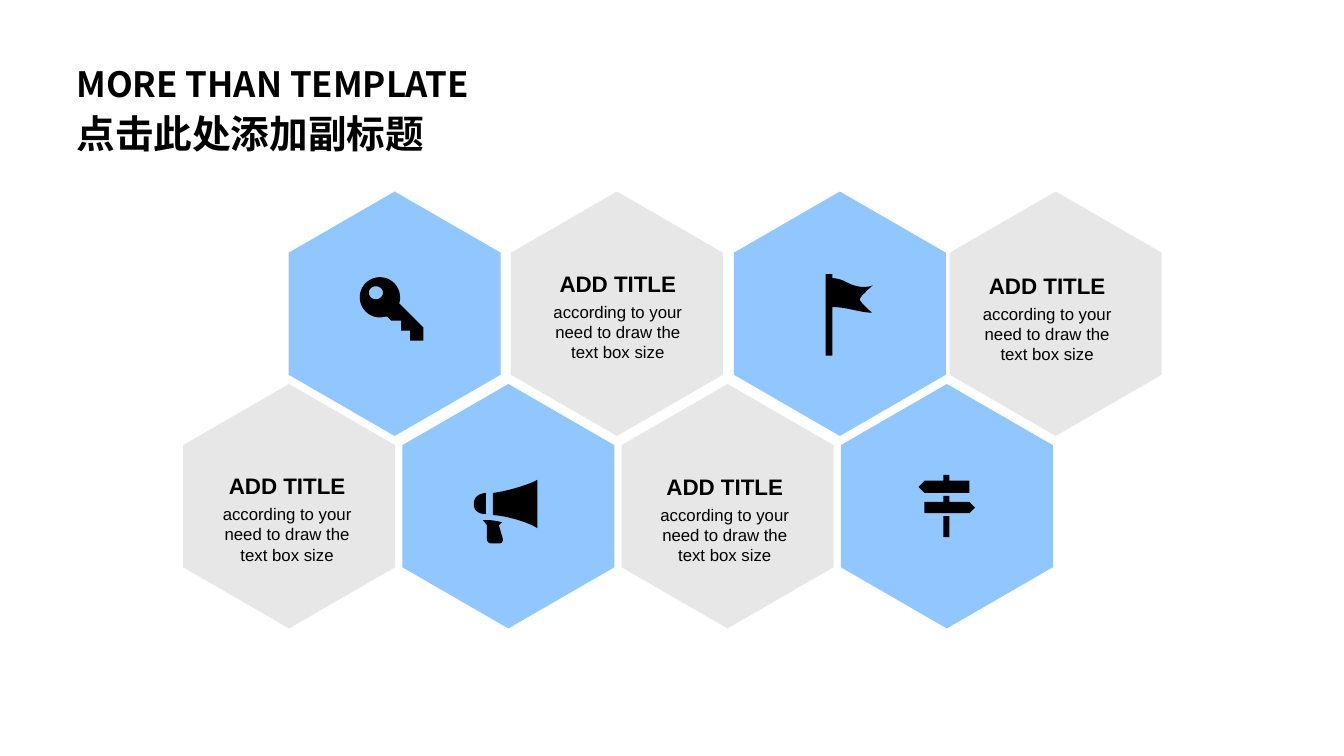
from dataclasses import dataclass

from lxml import etree
from pptx import Presentation
from pptx.dml.color import RGBColor
from pptx.enum.shapes import MSO_SHAPE
from pptx.enum.text import MSO_ANCHOR, MSO_AUTO_SIZE, PP_ALIGN
from pptx.oxml.ns import qn
from pptx.util import Pt

RECT = MSO_SHAPE.RECTANGLE
TOP, MIDDLE = MSO_ANCHOR.TOP, MSO_ANCHOR.MIDDLE
LEFT, CENTER = PP_ALIGN.LEFT, PP_ALIGN.CENTER
GROW = MSO_AUTO_SIZE.SHAPE_TO_FIT_TEXT

BLUE, GREY, BLACK = "90C7FF", "E7E7E7", "000000"
SANS, HAN = "Arial", "Noto Sans CJK SC"
WIDE, HIGH, EDGE = 151.4, 174.6, 43.7
STEPS = 12


@dataclass
class Tile:
    left: float
    top: float
    color: str


@dataclass
class Bar:
    left: float
    top: float
    width: float
    height: float


@dataclass
class Loop:
    start: tuple
    legs: list


@dataclass
class Label:
    left: float
    top: float


@dataclass
class Line:
    text: str
    size: float
    bold: bool


UPPER = [Tile(left, 136.8, color) for left, color in
         zip((206.2, 365, 524.2, 678.4), (BLUE, GREY, BLUE, GREY))]
LOWER = [Tile(130.8 + 156.6 * i, 274.3, (GREY, BLUE)[i % 2]) for i in range(4)]

BARS = [Bar(673.9, 368.6, 4.3, 15.1), Bar(589.7, 195.8, 5, 58.3)]

KEY = [
    Loop((285.1, 216.7), [
        (285.8, 215.3, 285.8, 213.8, 285.8, 212.4),
        (285.8, 204.5, 279.4, 198, 271.4, 198),
        (263.5, 198, 257, 204.5, 257, 212.4),
        (257, 220.3, 263.5, 226.8, 271.4, 226.8),
        (272.9, 226.8, 275, 226.1, 276.5, 226.1),
        (279.4, 229), (286.6, 229), (286.6, 236.2), (293, 236.2),
        (293, 243.4), (302.4, 243.4), (302.4, 234)]),
    Loop((268.6, 213.8), [
        (265.7, 213.8, 263.5, 211.7, 263.5, 209),
        (263.5, 206.6, 265.7, 204.5, 268.6, 204.5),
        (271.4, 204.5, 273.6, 206.6, 273.6, 209),
        (273.6, 211.7, 271.4, 213.8, 268.6, 213.8)]),
]
FLAG = [Loop((614.2, 213.8), [
    (614.2, 211.7, 623.5, 203.8, 623.5, 203.8),
    (618.5, 205.9, 611.3, 205.2, 604.8, 201.6),
    (598.3, 198, 592.6, 198.7, 592.6, 198.7),
    (592.6, 219.6),
    (593.3, 219.6, 594.7, 218.9, 599, 219.6),
    (604.1, 219.6, 617.8, 223.9, 622.8, 223.2),
    (622.8, 223.2, 614.2, 216, 614.2, 213.8)])]
GRIP = [Loop((344.9, 371.5), [
    (347.8, 375.1), (347.8, 385.2),
    (347.8, 386.6, 349.2, 388.1, 350.6, 388.1),
    (357.1, 388.1),
    (358.6, 388.1, 359.3, 386.6, 359.3, 385.2),
    (356.4, 375.1), (358.6, 373),
    (355, 372.2, 351.4, 371.5, 348.5, 371.5)])]
HORN = [Loop((352.1, 367.9), [
    (365, 368.6, 381.6, 375.1, 383.8, 377.3),
    (383.8, 342.7),
    (380.9, 344.9, 364.3, 350.6, 352.1, 352.1)])]
CAP = [Loop((347, 367.2), [
    (347, 352.1),
    (339.8, 352.8, 338.4, 357.1, 338.4, 360),
    (338.4, 362.9, 339.8, 367.2, 347, 367.2)])]
WEST = [Loop((673.9, 343.4), [
    (660.5, 343.4), (656.1, 347.8), (660.5, 352.1), (692.4, 352.1),
    (692.4, 343.4), (678.2, 343.4), (678.2, 339.1), (673.9, 339.1)])]
EAST = [Loop((673.9, 358.6), [
    (660.3, 358.6), (660.3, 366.5), (692.6, 366.5), (696.4, 362.7),
    (692.6, 358.6), (678.2, 358.6), (678.2, 354.2), (673.9, 354.2)])]
ICONS = [KEY, FLAG, GRIP, HORN, CAP, WEST, EAST]

LABELS = [Label(113, 337.5), Label(349.2, 193), Label(425.6, 338), Label(655.9, 194.5)]
HEAD = [Line("ADD TITLE", 16, True)]
BODY = [Line("according to your need to draw the text box size", 12, False)]
TITLE = [Line("MORE THAN TEMPLATE", 24.9, True), Line("点击此处添加副标题", 27.6, True)]

TIGHT = dict(margin_left=0, margin_top=0, margin_right=0, margin_bottom=0,
             word_wrap=True, auto_size=GROW, vertical_anchor=TOP)
LOOSE = dict(word_wrap=True, auto_size=GROW, vertical_anchor=MIDDLE)
MID = dict(alignment=CENTER)
OPEN = dict(alignment=LEFT, line_spacing=1.1)


def tint(code: str) -> RGBColor:
    return RGBColor.from_string(code)


def apply(item, values: dict) -> None:
    for name, value in values.items():
        setattr(item, name, value)


def paint(shape, color: str) -> None:
    shape.shadow.inherit = False
    shape.fill.solid()
    shape.fill.fore_color.rgb = tint(color)
    shape.line.fill.background()


def trace(loop: Loop) -> list:
    dots = [loop.start]
    for leg in loop.legs:
        if len(leg) == 2:
            dots.append(leg)
            continue
        curve = [dots[-1], leg[:2], leg[2:4], leg[4:]]
        for i in range(1, STEPS + 1):
            t = i / STEPS
            parts = ((1 - t) ** 3, 3 * t * (1 - t) ** 2, 3 * t * t * (1 - t), t ** 3)
            dots.append(tuple(sum(p * c[axis] for p, c in zip(parts, curve))
                              for axis in (0, 1)))
    return [(Pt(x), Pt(y)) for x, y in dots]


def draw(slide, loops: list, color: str) -> None:
    first, *rest = [trace(loop) for loop in loops]
    form = slide.shapes.build_freeform(*first[0])
    form.add_line_segments(first[1:], close=True)
    for dots in rest:
        form.move_to(*dots[0])
        form.add_line_segments(dots[1:], close=True)
    paint(form.convert_to_shape(), color)


def place(slide, tile: Tile) -> None:
    x, y = tile.left, tile.top
    mid, right, low = x + WIDE / 2, x + WIDE, y + HIGH
    legs = [(right, y + EDGE), (right, low - EDGE), (mid, low),
            (x, low - EDGE), (x, y + EDGE)]
    draw(slide, [Loop((mid, y), legs)], tile.color)


def write(slide, box: Bar, lines: list, face: str, frame: dict, para: dict) -> None:
    area = slide.shapes.add_textbox(Pt(box.left), Pt(box.top), Pt(box.width), Pt(box.height))
    text = area.text_frame
    apply(text, frame)
    for i, line in enumerate(lines):
        row = text.add_paragraph() if i else text.paragraphs[0]
        apply(row, para)
        run = row.add_run()
        run.text = line.text
        apply(run.font, dict(name=face, size=Pt(line.size), bold=line.bold))
        run.font.color.rgb = tint(BLACK)
        etree.SubElement(run.font._element, qn("a:ea"), typeface=face)


def main() -> None:
    deck = Presentation()
    apply(deck, dict(slide_width=Pt(960), slide_height=Pt(540)))
    slide = deck.slides.add_slide(deck.slide_layouts[6])
    for tile in UPPER + LOWER:
        place(slide, tile)
    for bar in BARS:
        shape = slide.shapes.add_shape(RECT, Pt(bar.left), Pt(bar.top),
                                       Pt(bar.width), Pt(bar.height))
        paint(shape, BLACK)
    for icon in ICONS:
        draw(slide, icon, BLACK)
    for label in LABELS:
        x, y = label.left, label.top
        write(slide, Bar(x, y, 184.3, 19.4), HEAD, SANS, TIGHT, MID)
        write(slide, Bar(x + 36.7, y + 22.5, 110.9, 43.9), BODY, SANS, TIGHT, MID)
    write(slide, Bar(47.5, 38.2, 317.5, 77), TITLE, HAN, LOOSE, OPEN)
    deck.save("out.pptx")


if __name__ == "__main__":
    main()
